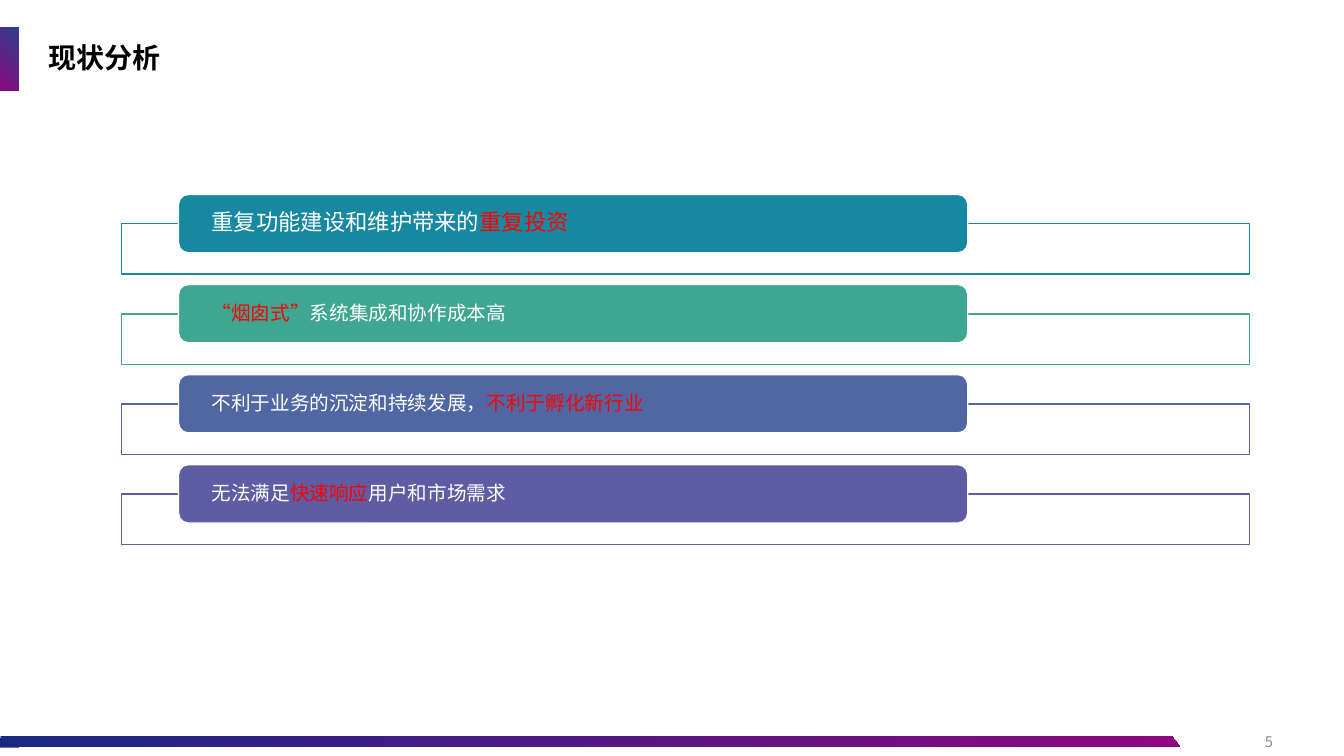
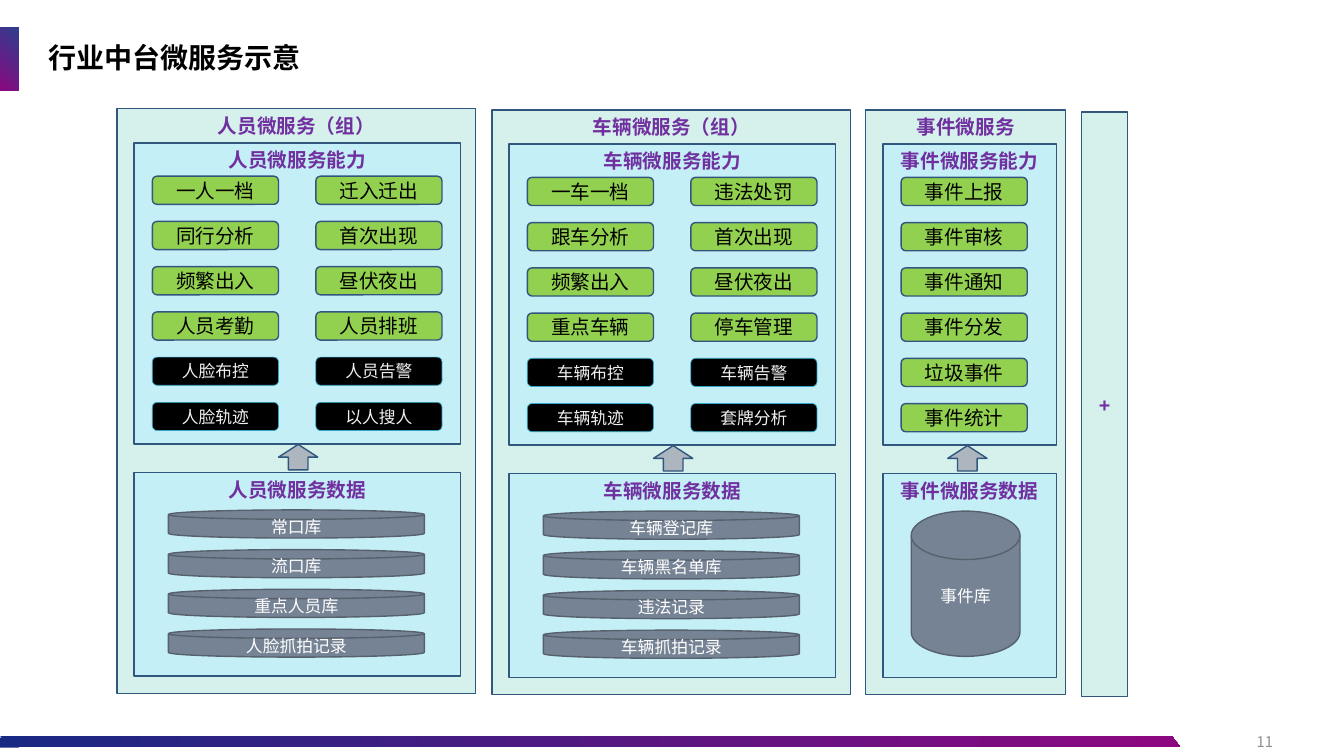
from dataclasses import dataclass
from typing import NamedTuple

from lxml import etree
from pptx import Presentation
from pptx.dml.color import RGBColor
from pptx.enum import shapes as sh, text as tx
from pptx.oxml import ns
from pptx.util import Cm, Pt

WHITE = RGBColor(0xFF, 0xFF, 0xFF)
BLACK = RGBColor(0, 0, 0)
RED = RGBColor(0xFF, 0, 0)
GREY = RGBColor(0x8C, 0x8C, 0x8C)
PALE = RGBColor(0xF0, 0xF0, 0xF0)
NAVY = RGBColor(0x18, 0x29, 0x83)
PLUM = RGBColor(0x8D, 0x07, 0x80)
TEAL = RGBColor(0x16, 0x89, 0xA0)
JADE = RGBColor(0x3F, 0xA6, 0x92)
BLUE = RGBColor(0x51, 0x67, 0xA4)
VIOLET = RGBColor(0x5E, 0x5C, 0xA2)
PURPLE = RGBColor(0x70, 0x30, 0xA0)
MINT = RGBColor(0xD6, 0xF0, 0xEB)
SKY = RGBColor(0xC5, 0xEF, 0xF7)
EDGE = RGBColor(0x31, 0x57, 0x7E)
GREEN = RGBColor(0x92, 0xD0, 0x50)
CYAN = RGBColor(0x31, 0xA6, 0xC6)
STEEL = RGBColor(0x76, 0x83, 0x95)
SLATE = RGBColor(0x57, 0x61, 0x6E)
SILVER = RGBColor(0xAD, 0xB5, 0xBF)

KIND = sh.MSO_SHAPE
LEFT, MID, RIGHT = tx.PP_ALIGN.LEFT, tx.PP_ALIGN.CENTER, tx.PP_ALIGN.RIGHT
HAN = "Noto Sans CJK SC"


class Box(NamedTuple):
    x: float
    y: float
    w: float
    h: float


class Run(NamedTuple):
    text: str
    color: RGBColor


@dataclass(frozen=True)
class Look:
    kind: sh.MSO_SHAPE
    fill: RGBColor
    edge: RGBColor | None = None
    line: float = 1
    ink: RGBColor = WHITE
    size: float = 12
    bold: bool = False
    top: bool = False


@dataclass(frozen=True)
class Point:
    fill: RGBColor
    size: float
    runs: list[Run]


@dataclass(frozen=True)
class Group:
    x: float
    y: float
    w: float
    span: float
    name: str
    topic: str
    rows: list[list[str]]
    dark: int
    stores: list[str]
    disk: tuple[float, float]


CARD = Look(KIND.RECTANGLE, MINT, EDGE, ink=PURPLE, size=14, bold=True, top=True)
PANEL = Look(KIND.RECTANGLE, SKY, EDGE, ink=PURPLE, size=14, bold=True, top=True)
EXTRA = Look(KIND.RECTANGLE, MINT, EDGE, ink=PURPLE, size=14, bold=True)
CHIP = Look(KIND.ROUNDED_RECTANGLE, GREEN, EDGE, ink=BLACK, size=14)
NIGHT = Look(KIND.ROUNDED_RECTANGLE, BLACK, CYAN, 0.5, PALE)
DISK = Look(KIND.FLOWCHART_MAGNETIC_DISK, STEEL, SLATE)
ARROW = Look(KIND.UP_ARROW, SILVER, EDGE)

POINTS = [
    Point(TEAL, 16, [Run("重复功能建设和维护带来的", WHITE), Run("重复投资", RED)]),
    Point(JADE, 14, [Run("“烟囱式”", RED), Run("系统集成和协作成本高", WHITE)]),
    Point(BLUE, 14, [Run("不利于业务的沉淀和持续发展，", WHITE),
                     Run("不利于孵化新行业", RED)]),
    Point(VIOLET, 14, [Run("无法满足", WHITE), Run("快速响应", RED),
                       Run("用户和市场需求", WHITE)]),
]

GROUPS = [
    Group(2.95, 2.74, 9.04, 8.23, "人员微服务（组）", "人员微服务",
          [["一人一档", "迁入迁出"], ["同行分析", "首次出现"],
           ["频繁出入", "昼伏夜出"], ["人员考勤", "人员排班"],
           ["人脸布控", "人员告警"], ["人脸轨迹", "以人搜人"]], 4,
          ["常口库", "流口库", "重点人员库", "人脸抓拍记录"], (6.45, 0.71)),
    Group(12.4, 2.77, 9.04, 8.23, "车辆微服务（组）", "车辆微服务",
          [["一车一档", "违法处罚"], ["跟车分析", "首次出现"],
           ["频繁出入", "昼伏夜出"], ["重点车辆", "停车管理"],
           ["车辆布控", "车辆告警"], ["车辆轨迹", "套牌分析"]], 4,
          ["车辆登记库", "车辆黑名单库", "违法记录", "车辆抓拍记录"], (6.45, 0.71)),
    Group(21.82, 2.77, 5.03, 4.37, "事件微服务", "事件微服务",
          [["事件上报"], ["事件审核"], ["事件通知"],
           ["事件分发"], ["垃圾事件"], ["事件统计"]], 6,
          ["事件库"], (2.74, 3.66)),
]


def dress(item, form: dict) -> None:
    for key, value in form.items():
        setattr(item, key, value)


def place(item, box: Box) -> None:
    dress(item, dict(zip(("left", "top", "width", "height"), map(Cm, box))))


def write(item, runs: list[Run], size: float, align, bold: bool = False,
          face: str = "Arial", pace: float = 1.0, top: bool = False) -> None:
    frame = item.text_frame
    anchor = tx.MSO_ANCHOR.TOP if top else tx.MSO_ANCHOR.MIDDLE
    dress(frame, {"word_wrap": True, "vertical_anchor": anchor})
    para = frame.paragraphs[0]
    dress(para, {"alignment": align, "line_spacing": pace})
    for part in runs:
        run = para.add_run()
        run.text = part.text
        dress(run.font, {"name": face, "size": Pt(size), "bold": bold})
        run.font.color.rgb = part.color
    for prop in item.element.xpath(".//a:rPr"):
        prop.set("lang", "zh-CN")
        etree.SubElement(prop, ns.qn("a:ea"), typeface=HAN)


def draw(slide, look: Look, box: Box, label: str = ""):
    item = slide.shapes.add_shape(look.kind, *map(Cm, box))
    item.shadow.inherit = False
    item.fill.solid()
    item.fill.fore_color.rgb = look.fill
    if look.edge is None:
        item.line.fill.background()
    else:
        item.line.color.rgb = look.edge
        item.line.width = Pt(look.line)
    if label:
        write(item, [Run(label, look.ink)], look.size, MID, look.bold, top=look.top)
    return item


def fade(item, angle: float) -> None:
    item.fill.gradient()
    item.fill.gradient_angle = angle
    for stop, color in zip(item.fill.gradient_stops, (NAVY, PLUM)):
        stop.color.rgb = color


def veil(item) -> None:
    tint = item.element.xpath("./p:spPr//a:srgbClr")[0]
    etree.SubElement(tint, ns.qn("a:alpha"), val="90000")


def frame(deck, layout) -> None:
    place(layout.placeholders[0], Box(0.97, 0.69, 28.19, 1.6))
    for spare in list(layout.placeholders)[1:]:
        spare.element.getparent().remove(spare.element)
    slide = deck.slides[0]
    mark = draw(slide, Look(KIND.RECTANGLE, NAVY), Box(0, 0.69, 0.46, 1.6))
    fade(mark, 225)
    veil(mark)
    band = draw(slide, Look(KIND.PARALLELOGRAM, NAVY), Box(0, 18.54, 29.74, 0.28))
    band.adjustments[0] = 0.78
    band.element.spPr.xfrm.set("flipV", "1")
    fade(band, 0)
    end = draw(slide, Look(KIND.RECTANGLE, NAVY), Box(0, 18.59, 0.48, 0.25))
    for item in (mark, band, end):
        layout.shapes.element.append(item.element)


def start(deck, layout, title: str, page: int):
    slide = deck.slides.add_slide(layout)
    write(slide.shapes.title, [Run(title, BLACK)], 20, LEFT, True, pace=0.9)
    foot = slide.shapes.add_textbox(*map(Cm, Box(24.71, 18.19, 7.62, 1.02)))
    write(foot, [Run(str(page), GREY)], 10.5, RIGHT, face=HAN)
    return slide


def issues(slide) -> None:
    for row, point in enumerate(POINTS):
        y = 4.9 + row * 2.27
        rim = Look(KIND.RECTANGLE, WHITE, point.fill)
        veil(draw(slide, rim, Box(3.07, y + 0.74, 28.42, 1.27)))
        bar = Look(KIND.ROUNDED_RECTANGLE, point.fill, WHITE)
        item = draw(slide, bar, Box(4.5, y, 19.89, 1.47))
        dress(item.text_frame, {"margin_left": Cm(0.76), "margin_right": Cm(0.76),
                                "margin_top": 0, "margin_bottom": 0})
        write(item, point.runs, point.size, LEFT, pace=0.9)


def column(slide, group: Group) -> None:
    x, y = group.x, group.y
    mid = x + group.w / 2
    draw(slide, CARD, Box(x, y, group.w, 14.73), group.name)
    draw(slide, PANEL, Box(x + 0.43, y + 0.86, group.span, 7.59), group.topic + "能力")
    draw(slide, ARROW, Box(mid - 0.45, y + 8.46, 0.99, 0.64))
    for row, names in enumerate(group.rows):
        look = NIGHT if row >= group.dark else CHIP
        for col, name in enumerate(names):
            spot = Box(x + 0.89 + col * 4.12, y + 1.7 + row * 1.14, 3.18, 0.71)
            draw(slide, look, spot, name)
    draw(slide, PANEL, Box(x + 0.43, y + 9.17, group.span, 5.13), group.topic + "数据")
    wide, high = group.disk
    for row, name in enumerate(group.stores):
        draw(slide, DISK, Box(mid - wide / 2, y + 10.11 + row, wide, high), name)


def main() -> None:
    deck = Presentation()
    dress(deck, {"slide_width": Cm(33.87), "slide_height": Cm(19.05)})
    layout = deck.slide_layouts[5]
    issues(start(deck, layout, "现状分析", 5))
    slide = start(deck, layout, "行业中台微服务示意", 11)
    for group in GROUPS:
        column(slide, group)
    draw(slide, EXTRA, Box(27.25, 2.82, 1.17, 14.73), "+")
    frame(deck, layout)
    deck.save("out.pptx")


if __name__ == "__main__":
    main()
